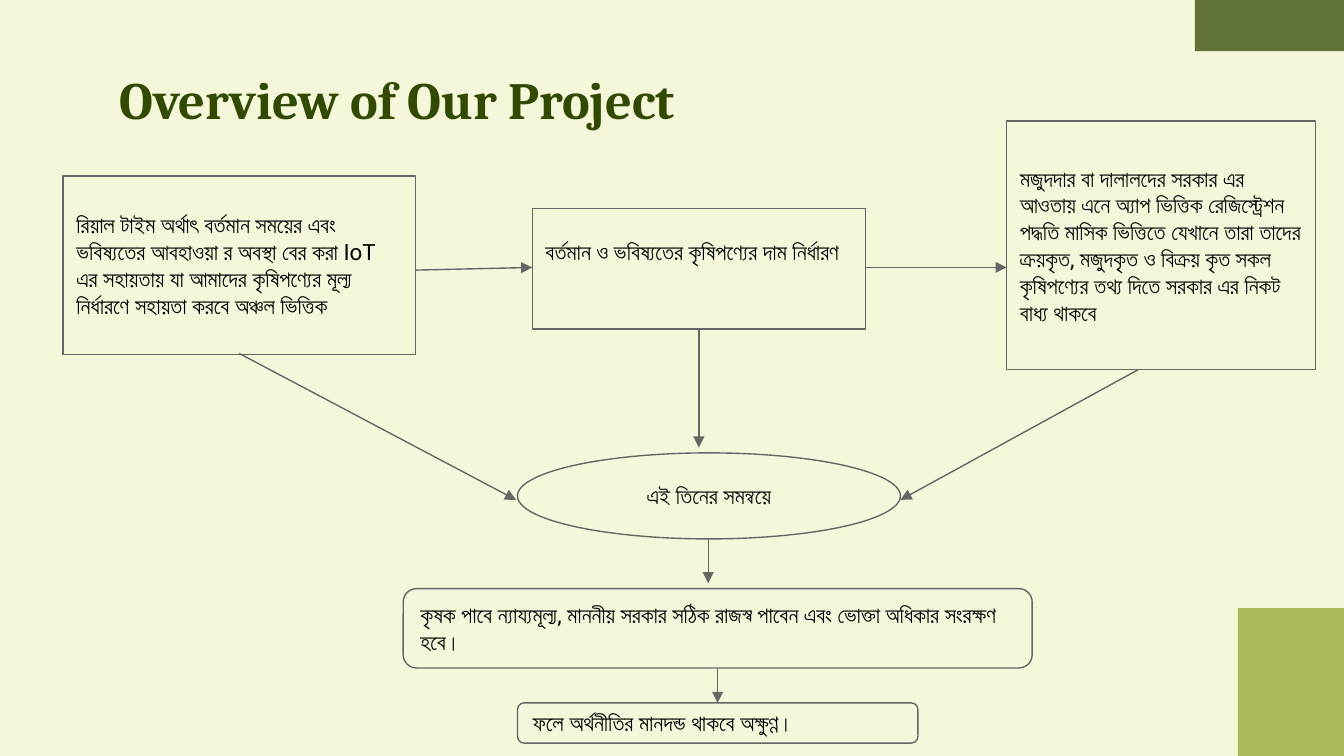
from lxml import etree
from pptx import Presentation
from pptx.dml.color import RGBColor
from pptx.enum.shapes import MSO_CONNECTOR, MSO_SHAPE
from pptx.enum.text import MSO_ANCHOR, PP_ALIGN
from pptx.oxml.ns import qn
from pptx.util import Inches, Pt

RECT = MSO_SHAPE.RECTANGLE
ROUNDED = MSO_SHAPE.ROUNDED_RECTANGLE
OVAL = MSO_SHAPE.FLOWCHART_CONNECTOR
STRAIGHT = MSO_CONNECTOR.STRAIGHT
MIDDLE = MSO_ANCHOR.MIDDLE
LEFT, CENTER = PP_ALIGN.LEFT, PP_ALIGN.CENTER

COLUMNS, ROWS = 100, 56.25
CREAM, GREY, OLIVE, LIME = "F4F7DA", "666666", "324A00", "7C8C03"
BLACK, INK = "000000", "050505"


def grid(*cells):
    return [Inches(0.1 * cell) for cell in cells]


def color(hex_value):
    return RGBColor.from_string(hex_value)


deck = Presentation()
deck.slide_width, deck.slide_height = grid(COLUMNS, ROWS)
slide = deck.slides.add_slide(deck.slide_layouts[6])
slide.background.fill.solid()
slide.background.fill.fore_color.rgb = color(CREAM)

corners = [
    (COLUMNS - 11.1, 0, 11.1, 3.8, OLIVE, 76),
    (COLUMNS - 7.9, ROWS - 11, 7.9, 11, LIME, 58),
]
for left, top, width, height, tint, opacity in corners:
    corner = slide.shapes.add_shape(RECT, *grid(left, top, width, height))
    corner.shadow.inherit = False
    corner.line.fill.background()
    corner.fill.solid()
    corner.fill.fore_color.rgb = color(tint)
    tint_xml = corner.fill._xPr.find(".//" + qn("a:srgbClr"))
    etree.SubElement(tint_xml, qn("a:alpha"), val=str(opacity * 1000))

heading = slide.shapes.add_textbox(*grid(7.9, 4, 91, 6.4)).text_frame
heading.word_wrap = True
heading.margin_left, heading.margin_top, heading.margin_right, heading.margin_bottom = grid(1, 1, 1, 1)
heading.text = "Overview of Our Project"
heading_font = heading.paragraphs[0].runs[0].font
heading_font.name, heading_font.size, heading_font.bold = "Cambria", Pt(28), True
heading_font.color.rgb = color(OLIVE)

steps = [
    (RECT, 39.6, 15.5, 24.8, 9, 3.6, LEFT, BLACK,
     "বর্তমান ও ভবিষ্যতের কৃষিপণ্যের দাম নির্ধারণ"),
    (RECT, 4.7, 13.1, 26.2, 13.3, 1, LEFT, BLACK,
     "রিয়াল টাইম অর্থাৎ বর্তমান সময়ের এবং ভবিষ্যতের আবহাওয়া র অবস্থা বের করা IoT এর "
     "সহায়তায় যা আমাদের কৃষিপণ্যের মূল্য নির্ধারণে সহায়তা করবে অঞ্চল ভিত্তিক"),
    (RECT, 74.9, 9, 23, 18.5, 1, LEFT, INK,
     "মজুদদার বা দালালদের সরকার এর আওতায় এনে অ্যাপ ভিত্তিক রেজিস্ট্রেশন পদ্ধতি মাসিক "
     "ভিত্তিতে যেখানে তারা তাদের ক্রয়কৃত, মজুদকৃত ও বিক্রয় কৃত সকল কৃষিপণ্যের তথ্য দিতে "
     "সরকার এর নিকট বাধ্য থাকবে"),
    (OVAL, 38.5, 33.7, 28.5, 6.4, 1, CENTER, INK, "এই তিনের সমন্বয়ে"),
    (ROUNDED, 30, 43.8, 46.8, 5.9, 1, LEFT, BLACK,
     "কৃষক পাবে ন্যায্যমূল্য, মাননীয় সরকার সঠিক রাজস্ব পাবেন এবং ভোক্তা অধিকার সংরক্ষণ হবে।"),
    (ROUNDED, 38.5, 52.3, 29.8, 3, 1, LEFT, BLACK,
     "ফলে অর্থনীতির মানদন্ড থাকবে অক্ষুণ্ণ।"),
]
for outline, left, top, width, height, bottom_margin, align, ink, wording in steps:
    step = slide.shapes.add_shape(outline, *grid(left, top, width, height))
    step.shadow.inherit = False
    step.fill.solid()
    step.fill.fore_color.rgb = color(CREAM)
    step.line.color.rgb = color(GREY)
    step.line.width = Pt(0.75)
    frame = step.text_frame
    frame.word_wrap = True
    frame.vertical_anchor = MIDDLE
    frame.margin_left, frame.margin_top, frame.margin_right, frame.margin_bottom = grid(1, 1, 1, bottom_margin)
    frame.text = wording
    frame.paragraphs[0].alignment = align
    run = frame.paragraphs[0].runs[0]
    run.font.name, run.font.size = "Roboto", Pt(12)
    run.font.color.rgb = color(ink)
    etree.SubElement(run.font._element, qn("a:cs"), typeface="Roboto")

arrows = [
    (30.9, 20.1, 39.6, 19.9),
    (64.4, 19.9, 74.9, 19.9),
    (17.8, 26.3, 38.4, 37.2),
    (52, 24.5, 52, 33.3),
    (84.7, 27.5, 67, 37.2),
    (52.7, 40.1, 52.7, 43.4),
    (53.4, 49.7, 53.4, 52.3),
]
for ends in arrows:
    arrow = slide.shapes.add_connector(STRAIGHT, *grid(*ends))
    arrow.line.color.rgb = color(GREY)
    arrow.line.width = Pt(0.75)
    etree.SubElement(arrow.line._get_or_add_ln(), qn("a:tailEnd"), type="triangle")
    etree.SubElement(arrow._element.spPr, qn("a:effectLst"))

deck.save("out.pptx")
